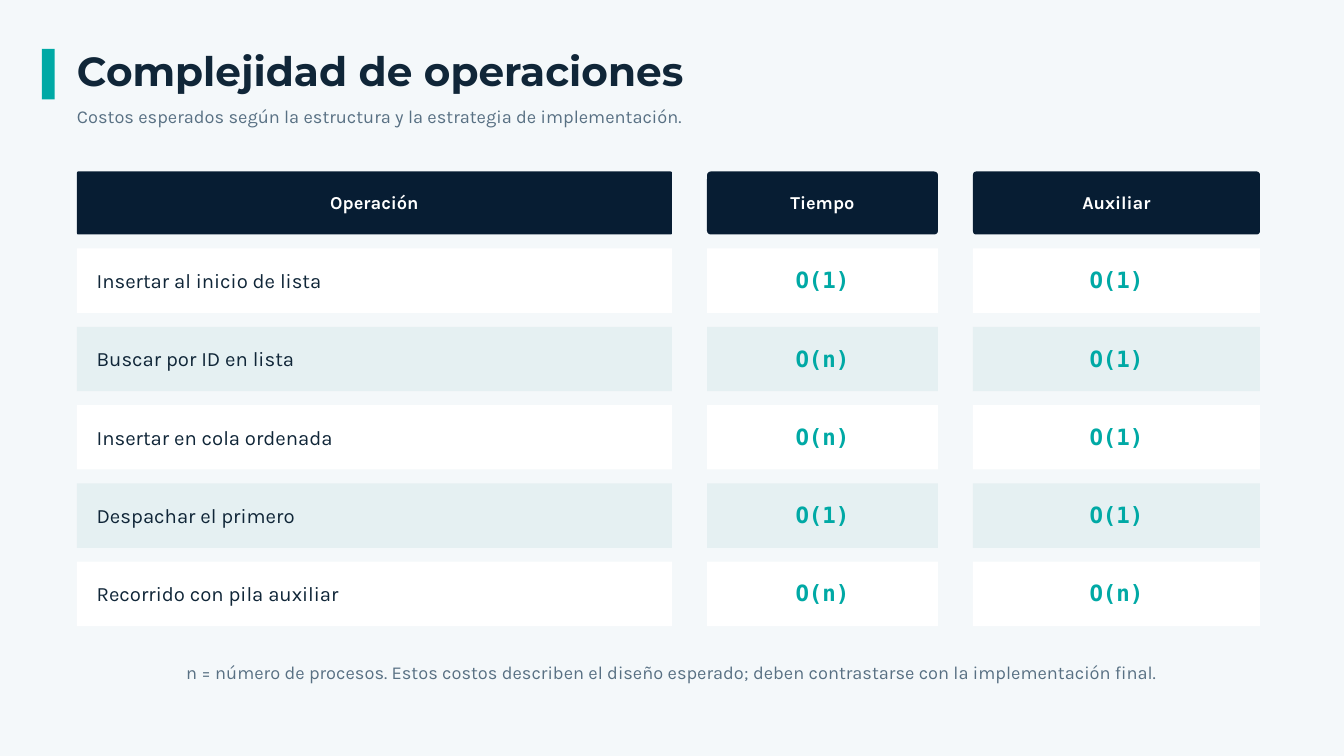
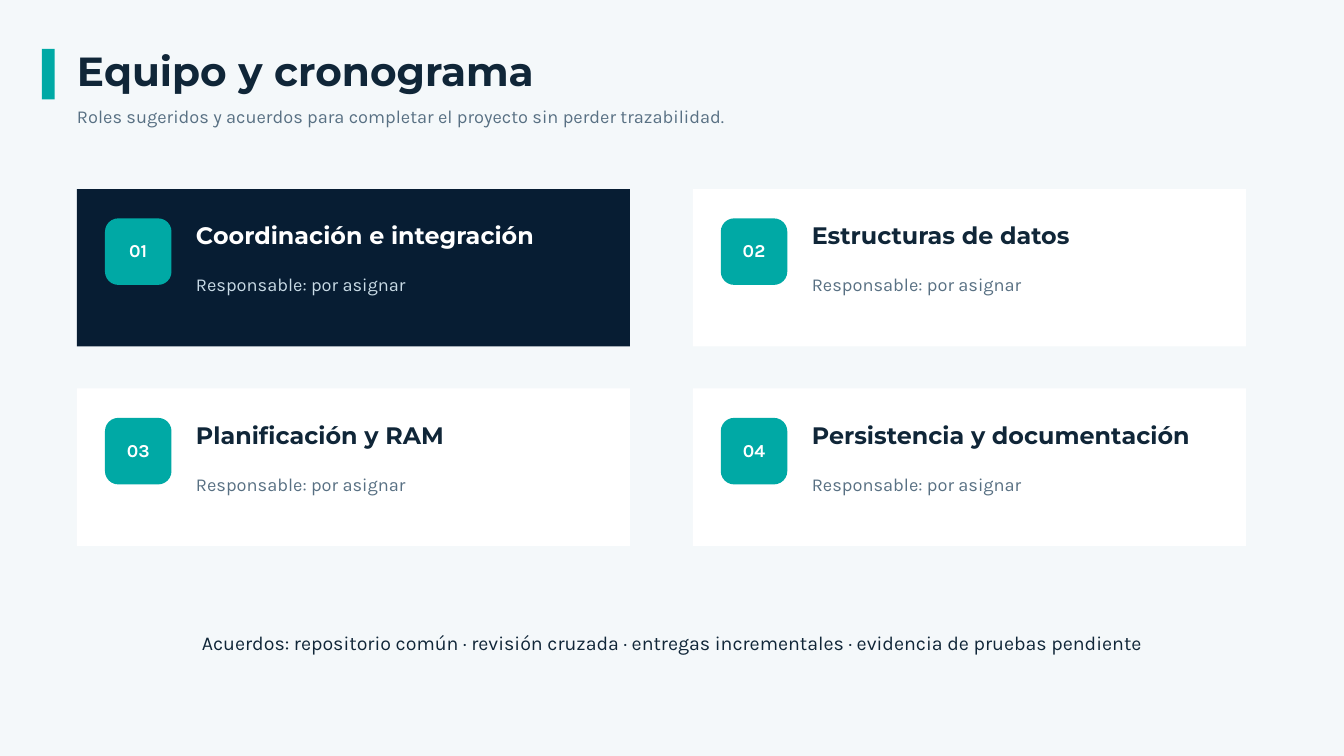
import pptx
import pptx.dml.color
import pptx.enum.shapes
import pptx.enum.text
import pptx.oxml.ns
import pptx.util
from lxml import etree

Pt = pptx.util.Pt
RGBColor = pptx.dml.color.RGBColor
SHAPE = pptx.enum.shapes.MSO_SHAPE
ALIGN = pptx.enum.text.PP_ALIGN
ANCHOR = pptx.enum.text.MSO_ANCHOR

MIST = RGBColor(0xF4, 0xF8, 0xFA)
TEAL = RGBColor(0x00, 0xA9, 0xA5)
NAVY = RGBColor(0x07, 0x1D, 0x33)
INK = RGBColor(0x10, 0x26, 0x38)
SLATE = RGBColor(0x58, 0x70, 0x83)
ICE = RGBColor(0xC9, 0xDB, 0xE6)
PALE_TEAL = RGBColor(0xE5, 0xF0, 0xF2)
WHITE = RGBColor(0xFF, 0xFF, 0xFF)

# Each style: font attributes and the line spacing in points
TITLE = (dict(name="Montserrat", size=Pt(43.5), bold=True, color=INK), 46.1)
CARD_TITLE = (dict(name="Montserrat", size=Pt(25.5), bold=True, color=INK), 27)
NOTE = (dict(name="Karla", size=Pt(19.5), bold=False, color=SLATE), 25)
LABEL = (dict(name="Karla", size=Pt(19.5), bold=True, color=WHITE), 21.4)
OPERATION = (dict(name="Karla", size=Pt(21.8), bold=False, color=INK), 27.8)
COST = (dict(name="DejaVu Sans Mono", size=Pt(24), bold=True, color=TEAL), 28.8)
AGREEMENT = (dict(name="Karla", size=Pt(21), bold=False, color=INK), 26.9)

COMPLEXITY = {
    "title": "Complejidad de operaciones",
    "subtitle": "Costos esperados según la estructura y la estrategia de implementación.",
    # heading, width, corner radius relative to the height
    "columns": [("Operación", 637.5, 0.02), ("Tiempo", 247.5, 0.06), ("Auxiliar", 307.5, 0.05)],
    "rows": [
        ("Insertar al inicio de lista", "O(1)", "O(1)"),
        ("Buscar por ID en lista", "O(n)", "O(1)"),
        ("Insertar en cola ordenada", "O(n)", "O(1)"),
        ("Despachar el primero", "O(1)", "O(1)"),
        ("Recorrido con pila auxiliar", "O(n)", "O(n)"),
    ],
    "footnote": "n = número de procesos. Estos costos describen el diseño esperado; "
                "deben contrastarse con la implementación final.",
}
TEAM = {
    "title": "Equipo y cronograma",
    "subtitle": "Roles sugeridos y acuerdos para completar el proyecto sin perder trazabilidad.",
    "roles": ["Coordinación e integración", "Estructuras de datos",
              "Planificación y RAM", "Persistencia y documentación"],
    "owner": "Responsable: por asignar",
    "agreements": "Acuerdos: repositorio común · revisión cruzada · entregas incrementales · "
                  "evidencia de pruebas pendiente",
}

SLIDE_WIDTH, SLIDE_HEIGHT = 1440, 810
LEFT = 82.5
COLUMN_GAP = 37.5
HEADER_TOP, HEADER_HEIGHT = 183.75, 67.5
ROWS_TOP, ROW_HEIGHT, ROW_PITCH = 266.25, 69, 83.9
CARDS_TOP, CARD_WIDTH, CARD_HEIGHT = 202.5, 592.5, 168.75
CARD_PITCH_X, CARD_PITCH_Y = 659.8, 213.75
BADGE_SIZE = 71.25


def write(shape, text, style, align=ALIGN.LEFT, anchor=ANCHOR.TOP, color=None, insets=(0, 0, 0, 0)):
    """Fill the shape with one styled paragraph; insets run left, top, right, bottom."""
    frame = shape.text_frame
    margins = zip(("margin_left", "margin_top", "margin_right", "margin_bottom"), map(Pt, insets))
    settings = dict(margins, word_wrap=True, vertical_anchor=anchor,
                    auto_size=pptx.enum.text.MSO_AUTO_SIZE.NONE)
    for name, value in settings.items():
        setattr(frame, name, value)
    font_values, spacing = style
    paragraph = frame.paragraphs[0]
    paragraph.alignment = align
    paragraph.line_spacing = Pt(spacing)
    paragraph.space_before = Pt(0)
    run = paragraph.add_run()
    run.text = text
    for name, value in font_values.items():
        if name == "color":
            run.font.color.rgb = color or value
        else:
            setattr(run.font, name, value)


def place(shape, left, top, width, height):
    for name, value in dict(left=left, top=top, width=width, height=height).items():
        setattr(shape, name, Pt(value))


def add_text(slide, box, text, style, **options):
    write(slide.shapes.add_textbox(*map(Pt, box)), text, style, **options)


def add_block(slide, box, fill, radius=0):
    kind = SHAPE.ROUNDED_RECTANGLE if radius else SHAPE.RECTANGLE
    shape = slide.shapes.add_shape(kind, *map(Pt, box))
    if radius:
        shape.adjustments[0] = radius
    shape.shadow.inherit = False
    shape.fill.solid()
    shape.fill.fore_color.rgb = fill
    shape.line.fill.background()
    return shape


def add_slide(presentation, content):
    """Add a slide with the shared title, subtitle and accent bar."""
    slide = presentation.slides.add_slide(presentation.slide_layouts[1])
    title, subtitle = slide.placeholders[0], slide.placeholders[1]
    place(title, LEFT, 55.5, 1125, 48)
    write(title, content["title"], TITLE)
    place(subtitle, LEFT, 111.75, 1125, 25)
    write(subtitle, content["subtitle"], NOTE)
    properties = subtitle.text_frame.paragraphs[0]._p.get_or_add_pPr()
    properties.set("marL", "0")
    properties.set("indent", "0")
    etree.SubElement(properties, pptx.oxml.ns.qn("a:buNone"))
    add_block(slide, (45, 52.5, 13.5, 54), TEAL)
    return slide


def build_complexity(presentation):
    slide = add_slide(presentation, COMPLEXITY)
    left = LEFT
    for column, (heading, width, radius) in enumerate(COMPLEXITY["columns"]):
        header = add_block(slide, (left, HEADER_TOP, width, HEADER_HEIGHT), NAVY, radius)
        write(header, heading, LABEL, ALIGN.CENTER, ANCHOR.MIDDLE)
        for row, values in enumerate(COMPLEXITY["rows"]):
            box = (left, ROWS_TOP + row * ROW_PITCH, width, ROW_HEIGHT)
            cell = add_block(slide, box, PALE_TEAL if row % 2 else WHITE)
            style, align = (COST, ALIGN.CENTER) if column else (OPERATION, ALIGN.LEFT)
            write(cell, values[column], style, align, ANCHOR.MIDDLE, insets=(21, 0, 21, 2))
        left += width + COLUMN_GAP
    add_text(slide, (165, 707.25, 1110, 25), COMPLEXITY["footnote"], NOTE, align=ALIGN.CENTER)


def build_team(presentation):
    slide = add_slide(presentation, TEAM)
    for index, role in enumerate(TEAM["roles"]):
        row, column = divmod(index, 2)
        left = LEFT + column * CARD_PITCH_X
        top = CARDS_TOP + row * CARD_PITCH_Y
        fill, role_color, owner_color = (WHITE, INK, SLATE) if index else (NAVY, WHITE, ICE)
        add_block(slide, (left, top, CARD_WIDTH, CARD_HEIGHT), fill)
        badge = add_block(slide, (left + 30, top + 31.5, BADGE_SIZE, BADGE_SIZE), TEAL, 0.2)
        write(badge, f"{index + 1:02}", LABEL, ALIGN.CENTER, ANCHOR.MIDDLE)
        add_text(slide, (left + 127.5, top + 37.75, 420, 28), role, CARD_TITLE, color=role_color)
        add_text(slide, (left + 127.5, top + 89.25, 420, 25), TEAM["owner"], NOTE, color=owner_color)
    add_text(slide, (135, 674, 1170, 26), TEAM["agreements"], AGREEMENT, align=ALIGN.CENTER)


def main():
    presentation = pptx.Presentation()
    presentation.slide_width = Pt(SLIDE_WIDTH)
    presentation.slide_height = Pt(SLIDE_HEIGHT)
    background = presentation.slide_master.background.fill
    background.solid()
    background.fore_color.rgb = MIST
    build_complexity(presentation)
    build_team(presentation)
    presentation.save("out.pptx")


if __name__ == "__main__":
    main()
